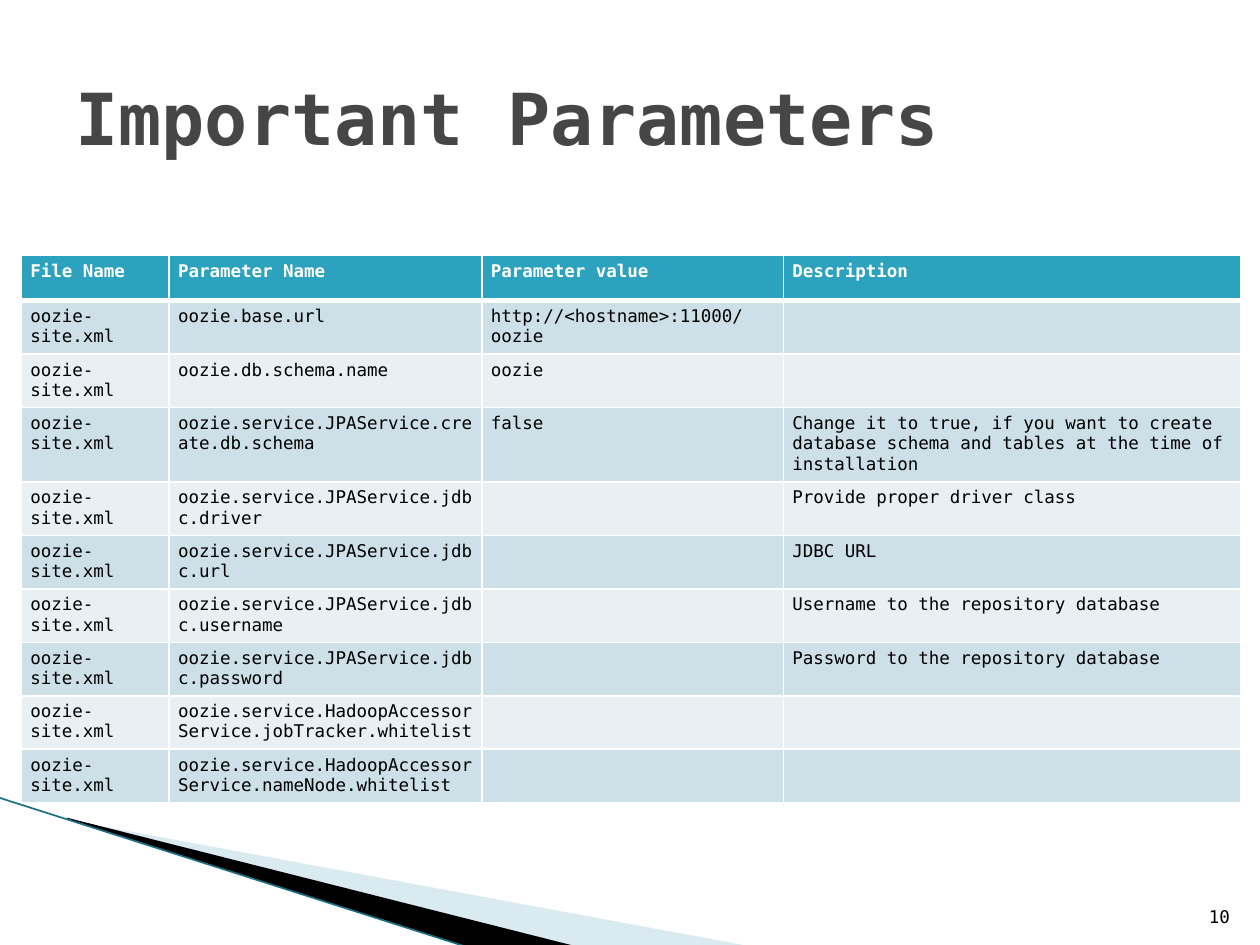
from dataclasses import dataclass

from lxml import etree
from pptx import Presentation
from pptx import util as u
from pptx.dml.color import RGBColor
from pptx.enum import shapes, text
from pptx.oxml.ns import qn

FONT = "DejaVu Sans Mono"
WHITE, BLACK, TITLE_GREY = "FFFFFF", "000000", "464646"
HEADER_FILL, BAND_FILLS = "2DA2BF", ("CDE0E8", "E8F0F4")
SWOOSH_BLUE, EDGE_TEAL = "A0CBDC", "1B6F85"
SLIDE_WIDTH, SLIDE_HEIGHT = u.Inches(10), u.Inches(7.5)

# Column widths and row heights are percentages of the slide's size.
COLUMN_WIDTHS = (11.73, 24.83, 23.93, 36.26)
ROW_HEIGHTS = (4.8, 4.67, 4.67, 4.67, 4.53, 5.47, 4.8, 4.93, 4.93, 4.8)


@dataclass
class Parameter:
    name: str
    value: str = ""
    description: str = ""
    file: str = "oozie-site.xml"

    def cells(self) -> tuple:
        return self.file, self.name, self.value, self.description


@dataclass
class Label:
    words: str
    box: tuple
    size: int
    colour: str
    bold: bool
    align: text.PP_ALIGN
    anchor: text.MSO_ANCHOR


@dataclass
class Swoosh:
    frame: tuple
    points: tuple
    fill: str
    opacity: int = 100


HEADINGS = ("File Name", "Parameter Name", "Parameter value", "Description")
PARAMETERS = (
    Parameter("oozie.base.url", "http://<hostname>:11000/oozie"),
    Parameter("oozie.db.schema.name", "oozie"),
    Parameter("oozie.service.JPAService.create.db.schema", "false",
              "Change it to true, if you want to create database schema "
              "and tables at the time of installation"),
    Parameter("oozie.service.JPAService.jdbc.driver",
              description="Provide proper driver class"),
    Parameter("oozie.service.JPAService.jdbc.url", description="JDBC URL"),
    Parameter("oozie.service.JPAService.jdbc.username",
              description="Username to the repository database"),
    Parameter("oozie.service.JPAService.jdbc.password",
              description="Password to the repository database"),
    Parameter("oozie.service.HadoopAccessorService.jobTracker.whitelist"),
    Parameter("oozie.service.HadoopAccessorService.nameNode.whitelist"),
)
SWOOSHES = (
    Swoosh((7.8, 72.93, 41.6, 21.07),
           ((5.5, 86.8), (59.5, 100.13), (45.6, 100.13), (5.5, 86.67)),
           SWOOSH_BLUE, 40),
    Swoosh((-0.6, 84.4, 41.6, 12.27),
           ((5.3, 86.53), (45.7, 100.13), (37.2, 100.27), (5.4, 86.67)), BLACK),
)
LABELS = (
    Label("10", (94.6, 93.47, 4, 5.33), 10, BLACK, False,
          text.PP_ALIGN.RIGHT, text.MSO_ANCHOR.BOTTOM),
    Label("Important Parameters", (5, 4, 90, 16.67), 41, TITLE_GREY, True,
          text.PP_ALIGN.LEFT, text.MSO_ANCHOR.MIDDLE),
)


def rgb(colour: str) -> RGBColor:
    return RGBColor.from_string(colour)


def across(percent: float) -> u.Emu:
    return u.Emu(round(SLIDE_WIDTH * percent / 100))


def down(percent: float) -> u.Emu:
    return u.Emu(round(SLIDE_HEIGHT * percent / 100))


def place(box: tuple) -> tuple:
    left, top, width, height = box
    return across(left), down(top), across(width), down(height)


def style(paragraph, size: int, colour: str, bold: bool) -> None:
    font = paragraph.font
    font.name, font.size, font.bold = FONT, u.Pt(size), bold
    font.color.rgb = rgb(colour)


def reframe(shape, frame: tuple) -> None:
    """Give the outline a new frame while its points stay where they are."""
    left, top, width, height = place(frame)
    shift_x, shift_y = shape.left - left, shape.top - top
    outline = shape._element.spPr.find(".//" + qn("a:path"))
    outline.set("w", str(width))
    outline.set("h", str(height))
    for point in outline.iter(qn("a:pt")):
        point.set("x", str(int(point.get("x")) + shift_x))
        point.set("y", str(int(point.get("y")) + shift_y))
    shape.left, shape.top, shape.width, shape.height = left, top, width, height


def draw_swoosh(slide, swoosh: Swoosh) -> None:
    corners = [(across(x), down(y)) for x, y in swoosh.points]
    builder = slide.shapes.build_freeform(*corners[0])
    builder.add_line_segments(corners[1:], close=True)
    shape = builder.convert_to_shape()
    reframe(shape, swoosh.frame)
    shape.shadow.inherit = False
    shape.line.fill.background()
    shape.fill.solid()
    shape.fill.fore_color.rgb = rgb(swoosh.fill)
    if swoosh.opacity < 100:
        colour = shape._element.spPr.find(".//" + qn("a:srgbClr"))
        etree.SubElement(colour, qn("a:alpha"), val=str(swoosh.opacity * 1000))


def draw_edge(slide) -> None:
    edge = slide.shapes.add_connector(
        shapes.MSO_CONNECTOR.STRAIGHT,
        across(-0.1), down(84.4), across(37.2), down(100.27))
    edge.line.color.rgb = rgb(EDGE_TEAL)
    edge.line.width = u.Pt(0.95)
    etree.SubElement(edge._element.spPr, qn("a:effectLst"))


def draw_label(slide, label: Label) -> None:
    frame = slide.shapes.add_textbox(*place(label.box)).text_frame
    frame.word_wrap = True
    frame.vertical_anchor = label.anchor
    paragraph = frame.paragraphs[0]
    paragraph.text = label.words
    paragraph.alignment = label.align
    style(paragraph, label.size, label.colour, label.bold)


def add_borders(cell, top: int, bottom: int) -> None:
    """Draw white cell borders; must run before the cell's fill is set."""
    properties = cell._tc.get_or_add_tcPr()
    for side, points in zip("LRTB", (1, 1, top, bottom)):
        line = etree.SubElement(properties, qn(f"a:ln{side}"), w=str(u.Pt(points)))
        fill = etree.SubElement(line, qn("a:solidFill"))
        etree.SubElement(fill, qn("a:srgbClr"), val=WHITE)


def draw_cell(cell, words: str, row: int) -> None:
    header = row == 0
    add_borders(cell, top=3 if row == 1 else 1, bottom=3 if header else 1)
    cell.fill.solid()
    cell.fill.fore_color.rgb = rgb(HEADER_FILL if header else BAND_FILLS[(row - 1) % 2])
    cell.margin_left = cell.margin_right = u.Pt(5.1)
    cell.margin_top = cell.margin_bottom = u.Pt(3.25)
    paragraph = cell.text_frame.paragraphs[0]
    paragraph.text = words
    style(paragraph, 10, WHITE if header else BLACK, header)


def draw_parameters(slide) -> None:
    rows = [HEADINGS] + [parameter.cells() for parameter in PARAMETERS]
    frame = (1.7, 27.03, sum(COLUMN_WIDTHS), sum(ROW_HEIGHTS))
    table = slide.shapes.add_table(len(rows), len(HEADINGS), *place(frame)).table
    for column, width in zip(table.columns, COLUMN_WIDTHS):
        column.width = across(width)
    for table_row, height in zip(table.rows, ROW_HEIGHTS):
        table_row.height = down(height)
    for row, entries in enumerate(rows):
        for column, words in enumerate(entries):
            draw_cell(table.cell(row, column), words, row)


def main() -> None:
    deck = Presentation()
    deck.slide_width, deck.slide_height = SLIDE_WIDTH, SLIDE_HEIGHT
    slide = deck.slides.add_slide(deck.slide_layouts[6])
    for swoosh in SWOOSHES:
        draw_swoosh(slide, swoosh)
    draw_edge(slide)
    for label in LABELS:
        draw_label(slide, label)
    draw_parameters(slide)
    deck.save("out.pptx")


if __name__ == "__main__":
    main()
